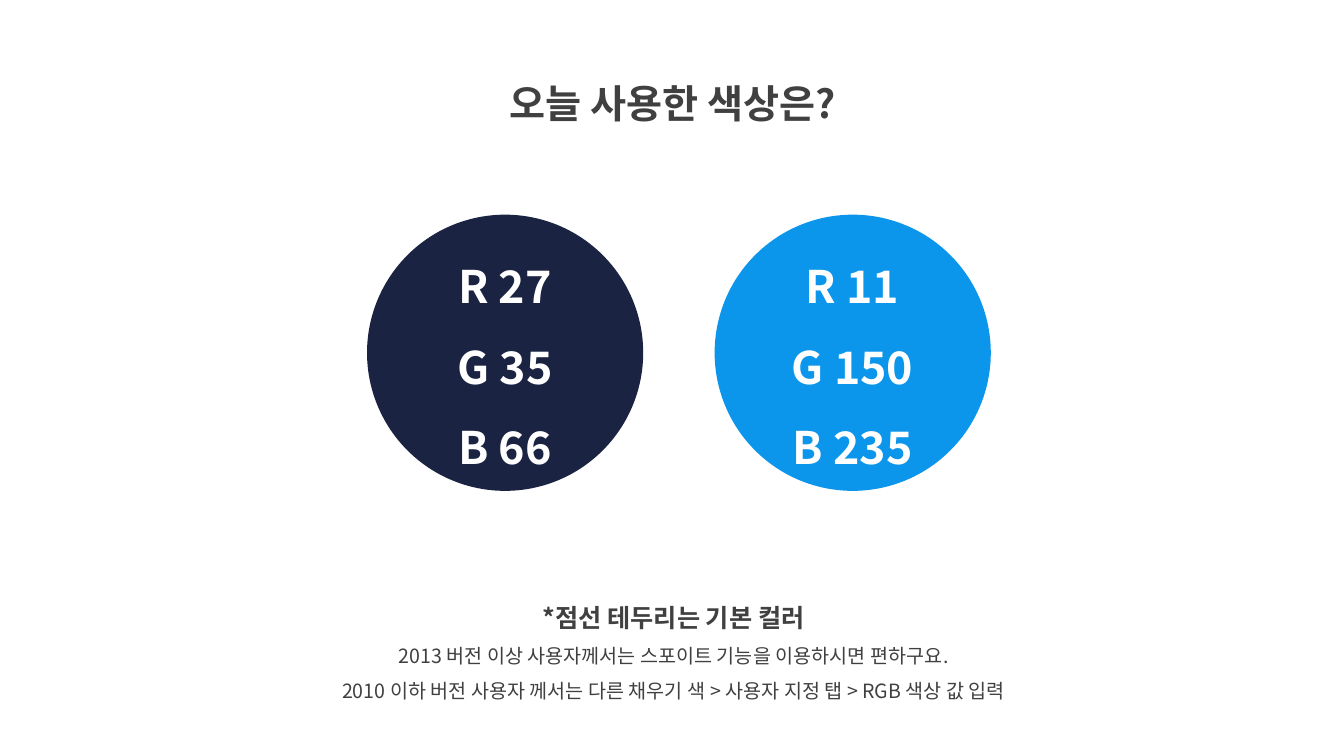
import pptx
import pptx.util
from lxml import etree
from pptx.dml.color import RGBColor
from pptx.enum.shapes import MSO_SHAPE
from pptx.enum.text import MSO_ANCHOR, MSO_AUTO_SIZE, PP_ALIGN
from pptx.oxml.ns import qn

Cm = pptx.util.Cm
Pt = pptx.util.Pt

FONT = "Noto Sans CJK KR"
GRAY = RGBColor(0x40, 0x40, 0x40)
WHITE = RGBColor(0xFF, 0xFF, 0xFF)
NAVY = RGBColor(27, 35, 66)
BLUE = RGBColor(11, 150, 235)

TITLE = "오늘 사용한 색상은?"
HEAD = "*점선 테두리는 기본 컬러"
TIPS = [
    "2013 버전 이상 사용자께서는 스포이트 기능을 이용하시면 편하구요.",
    "2010 이하 버전 사용자 께서는 다른 채우기 색 > 사용자 지정 탭 > RGB 색상 값 입력",
]
COLORS = [NAVY, BLUE]

LEFT, TOP, SIZE, STEP = 9.25, 5.41, 6.96, 8.76


def write(frame, text, size, color=GRAY, bold=False):
    """Add one centred line, using the frame's first paragraph if it is empty."""
    line = frame.paragraphs[0]
    if line.runs:
        line = frame.add_paragraph()
    line.alignment = PP_ALIGN.CENTER
    line.line_spacing = 1.5
    run = line.add_run()
    run.text = text
    font = run.font
    font.size = Pt(size)
    font.bold = bold
    font.color.rgb = color
    font.name = FONT
    # Korean glyphs take the East Asian typeface
    etree.SubElement(run._r.get_or_add_rPr(), qn("a:ea"), typeface=FONT)


def add_box(slide, *place):
    frame = slide.shapes.add_textbox(*map(Cm, place)).text_frame
    frame.word_wrap = True
    frame.auto_size = MSO_AUTO_SIZE.SHAPE_TO_FIT_TEXT
    return frame


def add_disc(slide, left, color):
    """Draw a colour sample that lists its own RGB values."""
    disc = slide.shapes.add_shape(
        MSO_SHAPE.OVAL, Cm(left), Cm(TOP), Cm(SIZE), Cm(SIZE))
    disc.shadow.inherit = False
    disc.fill.solid()
    disc.fill.fore_color.rgb = color
    disc.line.fill.background()
    frame = disc.text_frame
    frame.word_wrap = True
    frame.vertical_anchor = MSO_ANCHOR.MIDDLE
    for name, value in zip("RGB", color):
        write(frame, f"{name} {value}", 32, color=WHITE, bold=True)


def main():
    deck = pptx.Presentation()
    deck.slide_width = Cm(33.87)
    deck.slide_height = Cm(19.05)
    slide = deck.slides.add_slide(deck.slide_layouts[6])

    write(add_box(slide, 11.07, 1.27, 11.76, 1.83), TITLE, 28, bold=True)

    notes = add_box(slide, 6.83, 14.66, 20.29, 3.2)
    write(notes, HEAD, 18, bold=True)
    for tip in TIPS:
        write(notes, tip, 14)

    for i, color in enumerate(COLORS):
        add_disc(slide, LEFT + i * STEP, color)

    deck.save("out.pptx")


if __name__ == "__main__":
    main()
